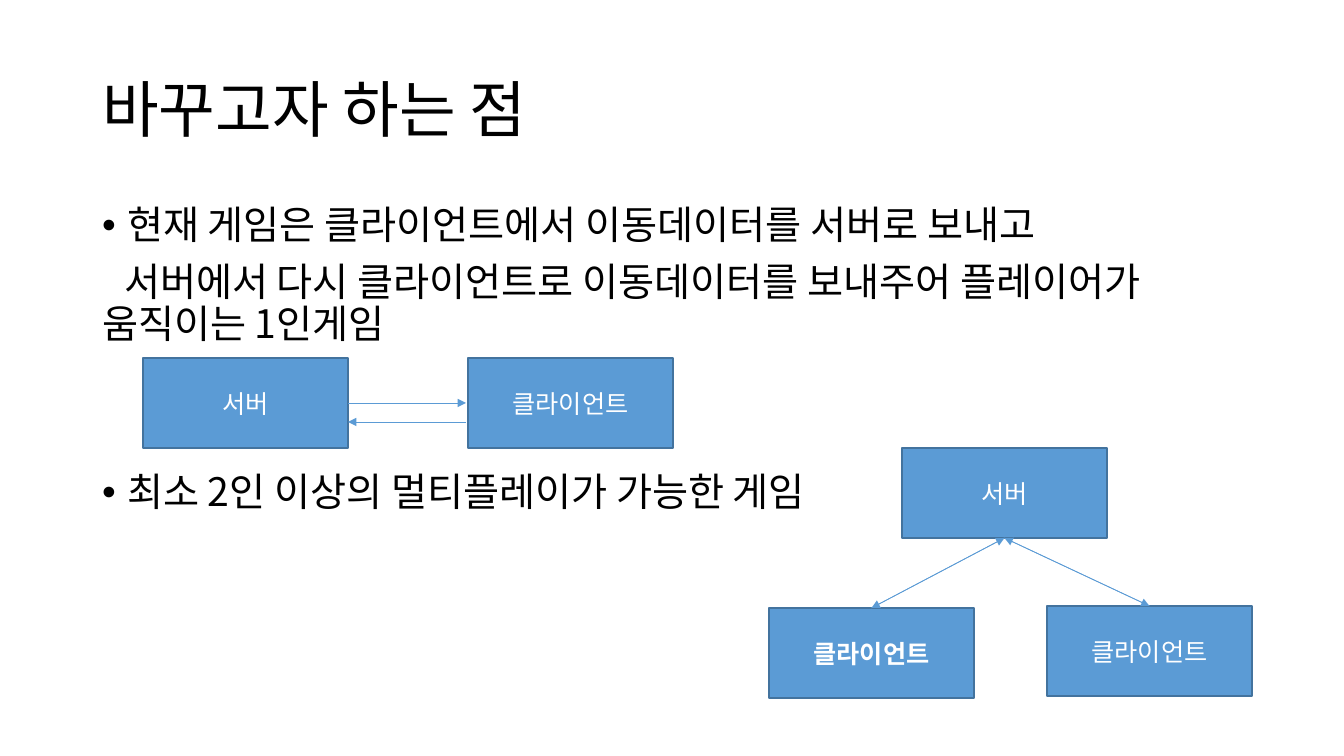
import pptx
import pptx.util
import pptx.dml.color
import pptx.enum.shapes
import pptx.enum.text
import pptx.oxml.ns
from lxml import etree

RGBColor = pptx.dml.color.RGBColor
BLACK = RGBColor(0x00, 0x00, 0x00)
WHITE = RGBColor(0xFF, 0xFF, 0xFF)
BLUE = RGBColor(0x5B, 0x9B, 0xD5)
DARK_BLUE = RGBColor(0x43, 0x73, 0x9E)
FONT = "Noto Sans CJK KR"
PX_PER_INCH = 100.8
NODE_W, NODE_H = 205, 90
qn = pptx.oxml.ns.qn
Pt = pptx.util.Pt
PP_ALIGN = pptx.enum.text.PP_ALIGN
MSO_ANCHOR = pptx.enum.text.MSO_ANCHOR


def px(n):
    """Turn pixels into EMU."""
    return pptx.util.Emu(round(n * 914400 / PX_PER_INCH))


def place(shape, box):
    """Move a shape to a box of left, top, width, height."""
    shape.left, shape.top, shape.width, shape.height = map(px, box)


def style(p, size, color, align=PP_ALIGN.LEFT, bold=False):
    """Format a whole paragraph, Korean letters included."""
    p.alignment = align
    p.font.size = Pt(size)
    p.font.bold = bold
    p.font.color.rgb = color
    p.font.name = FONT
    defaults = p._p.pPr.find(qn("a:defRPr"))
    latin = defaults.find(qn("a:latin"))
    latin.addnext(defaults.makeelement(qn("a:ea"), {"typeface": FONT}))


def add_title(s, box, text):
    """Fill the title placeholder."""
    title = s.shapes.title
    place(title, box)
    tf = title.text_frame
    tf.text = text
    tf.vertical_anchor = MSO_ANCHOR.MIDDLE
    tf.auto_size = pptx.enum.text.MSO_AUTO_SIZE.NONE
    p = tf.paragraphs[0]
    style(p, 44, BLACK)
    p.line_spacing = 0.9


def add_body(s, box, items):
    """Fill the body with (text, bulleted, space before) items."""
    body = s.placeholders[1]
    place(body, box)
    tf = body.text_frame
    tf.auto_size = pptx.enum.text.MSO_AUTO_SIZE.NONE
    tf.text = "\n".join(text for text, _, _ in items)
    for p, (_, bulleted, before) in zip(tf.paragraphs, items):
        style(p, 28, BLACK)
        p.line_spacing = 0.9
        p.space_before = Pt(before)
        pPr = p._p.pPr
        margin, indent = (25, -25) if bulleted else (0, 22)
        pPr.set("marL", str(px(margin)))
        pPr.set("indent", str(px(indent)))
        if bulleted:
            bullet = pPr.makeelement(qn("a:buChar"), {"char": "•"})
        else:
            bullet = pPr.makeelement(qn("a:buNone"), {})
        pPr.find(qn("a:defRPr")).addprevious(bullet)


def add_node(s, left, top, text, bold=False):
    """Add a server or client box."""
    node = s.shapes.add_shape(pptx.enum.shapes.MSO_SHAPE.RECTANGLE,
                              px(left), px(top), px(NODE_W), px(NODE_H))
    node.shadow.inherit = False
    node.fill.solid()
    node.fill.fore_color.rgb = BLUE
    node.line.color.rgb = DARK_BLUE
    node.line.width = Pt(1)
    tf = node.text_frame
    tf.text = text
    tf.vertical_anchor = MSO_ANCHOR.MIDDLE
    style(tf.paragraphs[0], 18, WHITE, PP_ALIGN.CENTER, bold)


def add_exchange(s, start, end, gap=0):
    """Add an arrow each way, the returning one lower by gap."""
    (x1, y1), (x2, y2) = start, end
    for line in ((x1, y1, x2, y2), (x2, y2 + gap, x1, y1 + gap)):
        arrow = s.shapes.add_connector(
            pptx.enum.shapes.MSO_CONNECTOR.STRAIGHT, *map(px, line))
        arrow.line.color.rgb = BLUE
        arrow.line.width = Pt(0.5)
        etree.SubElement(arrow.line._get_or_add_ln(), qn("a:tailEnd"),
                         type="triangle")
        etree.SubElement(arrow._element.spPr, qn("a:effectLst"))


def add_single_player(s, box):
    """Draw one server beside one client."""
    left, top, width, _ = box
    client = left + width - NODE_W
    add_node(s, left, top, "서버")
    add_node(s, client, top, "클라이언트")
    add_exchange(s, (left + NODE_W, top + 45), (client - 2, top + 45), gap=19)


def add_multiplayer(s, box):
    """Draw a server above two clients."""
    left, top, width, height = box
    server = left + 133
    bottom = top + height - NODE_H
    add_node(s, server, top, "서버")
    clients = ((left, bottom, True), (left + width - NODE_W, bottom - 2, False))
    for x, y, bold in clients:
        add_node(s, x, y, "클라이언트", bold)
        add_exchange(s, (server + NODE_W / 2, top + NODE_H), (x + NODE_W / 2, y))


prs = pptx.Presentation()
prs.slide_width, prs.slide_height = px(1344), px(756)
s = prs.slides.add_slide(prs.slide_layouts[1])
add_title(s, (92, 40, 1159, 146), "바꾸고자 하는 점")
add_body(s, (92, 201, 1159, 480), [
    ("현재 게임은 클라이언트에서 이동데이터를 서버로 보내고", True, 10),
    ("서버에서 다시 클라이언트로 이동데이터를 보내주어 플레이어가 움직이는 1인게임",
     False, 10),
    ("최소 2인 이상의 멀티플레이가 가능한 게임", True, 90),
])
add_single_player(s, (143, 358, 530, NODE_H))
add_multiplayer(s, (769, 448, 483, 250))
prs.save("out.pptx")
